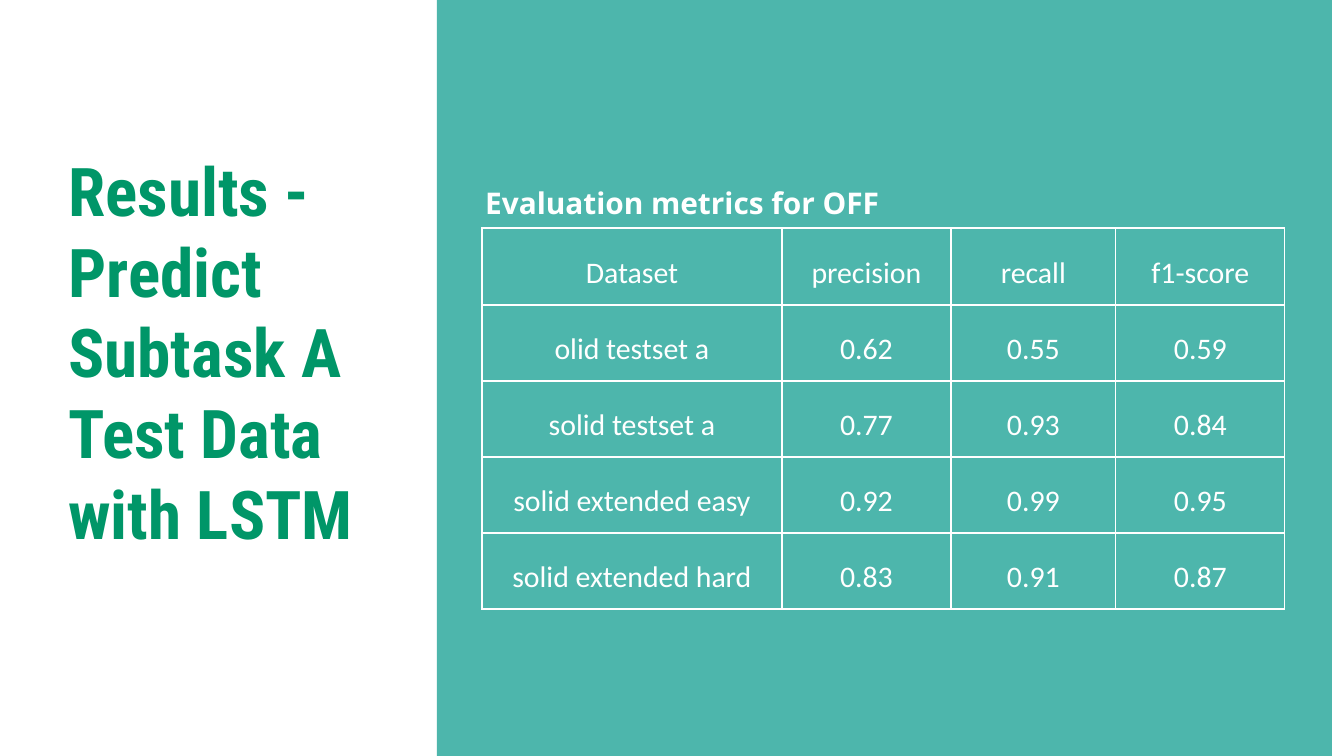
from lxml.etree import SubElement
from pptx import Presentation
from pptx.dml.color import RGBColor
from pptx.enum.shapes import MSO_SHAPE
from pptx.enum.text import MSO_ANCHOR, MSO_AUTO_SIZE, PP_ALIGN
from pptx.oxml.ns import qn
from pptx.util import Inches, Pt

PX = Inches(1) / 134.4
WHITE, TEAL, GREEN = "FFFFFF", "4DB6AC", "009668"
COLUMN_WIDTHS = [300, 169, 165, 169]
ROW_HEIGHTS = [77, 76, 76, 76, 76]
METRICS = [
    ["Dataset", "precision", "recall", "f1-score"],
    ["olid testset a", "0.62", "0.55", "0.59"],
    ["solid testset a", "0.77", "0.93", "0.84"],
    ["solid extended easy", "0.92", "0.99", "0.95"],
    ["solid extended hard", "0.83", "0.91", "0.87"],
]


def px(*lengths):
    return [round(length * PX) for length in lengths]


def color(value):
    return RGBColor.from_string(value)


def apply(target, values):
    for name, value in values.items():
        setattr(target, name, value)


class SlideBuilder:
    """Holds the text styles and the slide that elements are added to."""

    styles = {
        "title": ({"name": "Roboto Condensed", "size": Pt(36), "bold": True}, GREEN),
        "caption": ({"name": "Open Sans", "size": Pt(16), "bold": True}, WHITE),
        "cell": ({"name": "Calibri", "size": Pt(16), "bold": False}, WHITE),
    }
    frame_format = {
        "word_wrap": True,
        "auto_size": MSO_AUTO_SIZE.NONE,
        "vertical_anchor": MSO_ANCHOR.TOP,
        **dict.fromkeys(
            ["margin_left", "margin_top", "margin_right", "margin_bottom"], Inches(0.1)
        ),
    }

    def __init__(self, presentation):
        self.slide = presentation.slides.add_slide(presentation.slide_layouts[5])

    def set_text(self, text_frame, text, style, **paragraph_format):
        text_frame.text = text
        paragraph = text_frame.paragraphs[0]
        apply(paragraph, paragraph_format)
        font_format, font_color = self.styles[style]
        apply(paragraph.font, font_format)
        paragraph.font.color.rgb = color(font_color)

    def title(self, text, *box):
        shape = self.slide.shapes.title
        apply(shape, dict(zip(["left", "top", "width", "height"], px(*box))))
        apply(shape.text_frame, self.frame_format)
        self.set_text(shape.text_frame, text, "title", alignment=PP_ALIGN.LEFT)

    def caption(self, text, *box):
        shape = self.slide.shapes.add_textbox(*px(*box))
        apply(shape.text_frame, self.frame_format)
        self.set_text(shape.text_frame, text, "caption")

    def panel(self, fill, *box):
        shape = self.slide.shapes.add_shape(MSO_SHAPE.RECTANGLE, *px(*box))
        shape.shadow.inherit = False
        shape.fill.solid()
        shape.fill.fore_color.rgb = color(fill)
        shape.line.fill.background()

    def borders(self, cell, value):
        properties = cell._tc.get_or_add_tcPr()
        for side in ("a:lnL", "a:lnR", "a:lnT", "a:lnB"):
            line = SubElement(properties, qn(side), w=str(Pt(0.75)))
            fill = SubElement(line, qn("a:solidFill"))
            SubElement(fill, qn("a:srgbClr"), val=value)

    def cell(self, cell, text):
        side, bottom = px(1, 13)
        apply(cell, {
            "margin_left": side,
            "margin_top": side,
            "margin_right": side,
            "margin_bottom": bottom,
            "vertical_anchor": MSO_ANCHOR.BOTTOM,
        })
        self.borders(cell, WHITE)
        cell.fill.background()
        self.set_text(cell.text_frame, text, "cell",
                      alignment=PP_ALIGN.CENTER, line_spacing=1.15)

    def table(self, rows, left, top, widths, heights):
        box = px(left, top, sum(widths), sum(heights))
        table = self.slide.shapes.add_table(len(rows), len(widths), *box).table
        apply(table, {"first_row": False, "horz_banding": False})
        for column, width in zip(table.columns, px(*widths)):
            column.width = width
        for row, height, texts in zip(table.rows, px(*heights), rows):
            row.height = height
            for cell, text in zip(row.cells, texts):
                self.cell(cell, text)


def main():
    presentation = Presentation()
    presentation.slide_width, presentation.slide_height = px(1344, 756)
    builder = SlideBuilder(presentation)
    builder.title("Results - Predict Subtask A Test Data with LSTM", 55, 136, 337, 452)
    builder.panel(TEAL, 437, 0, 895, 756)
    builder.table(METRICS, 482, 228, COLUMN_WIDTHS, ROW_HEIGHTS)
    builder.caption("Evaluation metrics for OFF", 472, 171, 571, 43)
    presentation.save("out.pptx")


if __name__ == "__main__":
    main()
